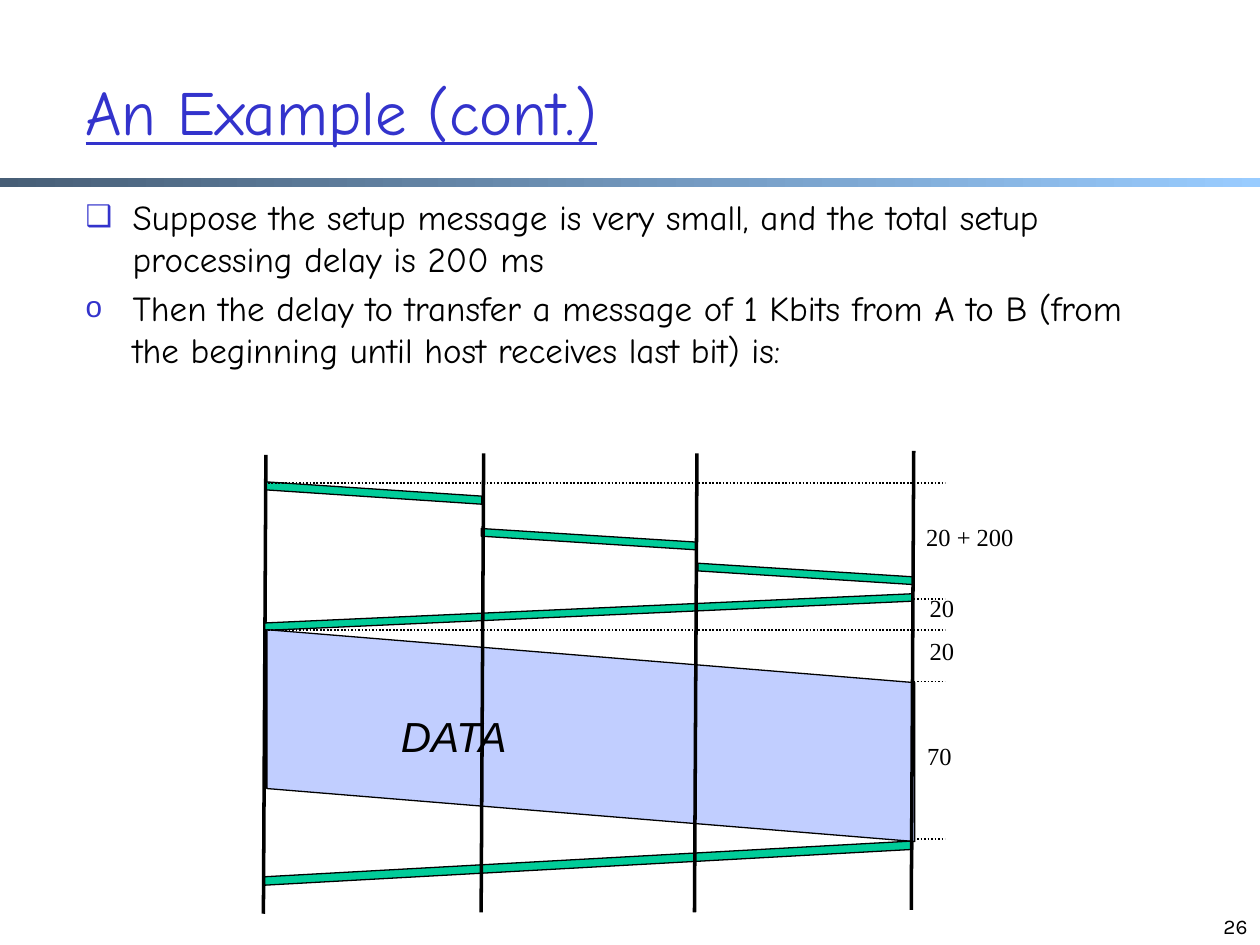
from lxml.etree import SubElement
from pptx import Presentation
from pptx.dml.color import RGBColor
from pptx.enum.dml import MSO_LINE_DASH_STYLE as DASH
from pptx.enum.shapes import MSO_CONNECTOR, MSO_SHAPE
from pptx.enum.text import MSO_ANCHOR as ANCHOR, MSO_AUTO_SIZE as AUTO_SIZE, PP_ALIGN as ALIGN
from pptx.oxml.ns import qn
from pptx.util import Cm, Pt

BLUE, GREEN, LAVENDER, BLACK = "3333CC", "00CC99", "C1CEFF", "000000"
HAND, SERIF, SANS, NUMBER = "Comic Neue", "Times New Roman", "Arial", "Karla"


def rgb(value):
    return RGBColor.from_string(value)


class SlideBuilder:
    def __init__(self, slide):
        self.slide = slide
        self.shapes = slide.shapes

    def place(self, shape, left, top, width, height):
        shape.left, shape.top = Cm(left), Cm(top)
        shape.width, shape.height = Cm(width), Cm(height)

    def run(self, paragraph, text, size, font, color=BLACK):
        run = paragraph.add_run()
        run.text = text
        run.font.size, run.font.name = Pt(size), font
        run.font.color.rgb = rgb(color)
        return run

    def title(self, text, *box):
        shape = self.shapes.title
        self.place(shape, *box)
        frame = shape.text_frame
        frame.auto_size, frame.vertical_anchor = AUTO_SIZE.NONE, ANCHOR.MIDDLE
        paragraph = frame.paragraphs[0]
        paragraph.alignment = ALIGN.LEFT
        self.run(paragraph, text, 35.9, HAND, BLUE).font.underline = True

    def bullet_list(self, items, *box):
        shape = self.slide.placeholders[1]
        self.place(shape, *box)
        frame = shape.text_frame
        frame.auto_size = AUTO_SIZE.NONE
        for index, (bullet, text) in enumerate(items):
            paragraph = frame.paragraphs[0] if index == 0 else frame.add_paragraph()
            properties = paragraph._p.get_or_add_pPr()
            properties.set("marL", str(Cm(0.95)))
            properties.set("indent", str(-Cm(0.95)))
            color = SubElement(properties, qn("a:buClr"))
            SubElement(color, qn("a:srgbClr"), val=BLUE)
            SubElement(properties, qn("a:buSzPct"), val="85000")
            SubElement(properties, qn("a:buChar"), char=bullet)
            paragraph.space_before = Pt(4 if index else 0)
            self.run(paragraph, text, 20, HAND)

    def gradient_rule(self, start, end, *box):
        shape = self.shapes.add_shape(MSO_SHAPE.RECTANGLE, *map(Cm, box))
        shape.shadow.inherit = False
        shape.line.fill.background()
        shape.fill.gradient()
        shape.fill.gradient_angle = 0
        for stop, color in zip(shape.fill.gradient_stops, (start, end)):
            stop.color.rgb = rgb(color)

    def line(self, start, end, width, dash=None):
        points = map(Cm, (*start, *end))
        connector = self.shapes.add_connector(MSO_CONNECTOR.STRAIGHT, *points)
        connector.line.color.rgb = rgb(BLACK)
        connector.line.width = Pt(width)
        if dash:
            connector.line.dash_style = dash
        SubElement(connector._element.spPr, qn("a:effectLst"))

    def message(self, center_x, center_y, length, height, slant, color=GREEN, reply=False):
        """A slanted band: a parallelogram turned on its side."""
        shape = self.shapes.add_shape(
            MSO_SHAPE.PARALLELOGRAM, Cm(center_x - height / 2),
            Cm(center_y - length / 2), Cm(height), Cm(length))
        shape.adjustments[0] = slant
        shape.rotation = 270 if reply else 90
        if reply:
            shape._element.spPr.xfrm.set("flipH", "1")
        shape.shadow.inherit = False
        shape.fill.solid()
        shape.fill.fore_color.rgb = rgb(color)
        shape.line.color.rgb = rgb(BLACK)
        shape.line.width = Pt(0.75)
        return shape

    def message_name(self, shape, text):
        frame = shape.text_frame
        frame.word_wrap, frame.vertical_anchor = False, ANCHOR.MIDDLE
        # Turn the text back so that it reads level in the turned shape
        frame._txBody.bodyPr.set("vert", "eaVert")
        frame._txBody.bodyPr.set("rot", "10800000")
        paragraph = frame.paragraphs[0]
        paragraph.alignment = ALIGN.LEFT
        self.run(paragraph, text, 24, SANS).font.italic = True

    def label(self, text, *box):
        frame = self.shapes.add_textbox(*map(Cm, box)).text_frame
        frame.word_wrap, frame.auto_size = False, AUTO_SIZE.SHAPE_TO_FIT_TEXT
        self.run(frame.paragraphs[0], text, 14, SERIF)

    def page_number(self, text, *box):
        frame = self.shapes.add_textbox(*map(Cm, box)).text_frame
        frame.word_wrap, frame.vertical_anchor = True, ANCHOR.BOTTOM
        frame.paragraphs[0].alignment = ALIGN.RIGHT
        self.run(frame.paragraphs[0], text, 12, NUMBER)


def main():
    presentation = Presentation()
    presentation.slide_width, presentation.slide_height = Cm(25.4), Cm(19.05)
    builder = SlideBuilder(presentation.slides.add_slide(presentation.slide_layouts[1]))

    # Heading, text and page number
    builder.gradient_rule("475E76", "99CCFF", 0, 3.58, 25.4, 0.2)
    builder.page_number("26", 19.48, 17.78, 5.92, 1.27)
    builder.title("An Example (cont.)", 1.47, 0.64, 21.59, 3.18)
    builder.bullet_list([
        ("❑", "Suppose the setup message is very small, and the total setup "
              "processing delay is 200 ms"),
        ("o", "Then the delay to transfer a message of 1 Kbits from A to B (from "
              "the beginning until host receives last bit) is:"),
    ], 1.47, 3.81, 22.4, 13.54)

    # Time axes: the first lies behind the messages, the others in front
    axes = [((x, top), (x - 0.05, top + 9.25), 2)
            for x, top in [(5.36, 9.17), (9.75, 9.14), (14.05, 9.14), (18.42, 9.09)]]
    builder.line(*axes[0])

    # Messages: replies, setup hops and the data
    span, hop = 13.06, 4.34
    builder.message(11.87, 12.34, span, 0.74, 0.796, reply=True)
    builder.message(7.54, 9.94, hop, 0.45, 0.639)
    data = builder.message(11.91, 14.83, span, 4.27, 0.25, LAVENDER)
    builder.message_name(data, "DATA")
    builder.message(11.87, 17.4, span, 0.89, 0.809, reply=True)
    builder.message(16.24, 11.57, hop, 0.43, 0.639)
    builder.message(11.87, 10.87, hop, 0.43, 0.639)
    for axis in axes[1:]:
        builder.line(*axis)

    # Dotted time marks
    full, short = 5.33, 18.42
    for left, y in [(full, 9.73), (short, 12.07), (full, 12.7), (short, 13.74), (short, 16.92)]:
        builder.line((left, y), (19.05, y), 1, DASH.ROUND_DOT)

    # Delays
    for text, left, top, width in [("20 + 200", 18.42, 10.39, 2.29), ("20", 18.49, 11.84, 1.02),
                                   ("20", 18.49, 12.7, 1.02), ("70", 18.44, 14.81, 1.02)]:
        builder.label(text, left, top, width, 0.86)

    presentation.save("out.pptx")


if __name__ == "__main__":
    main()
